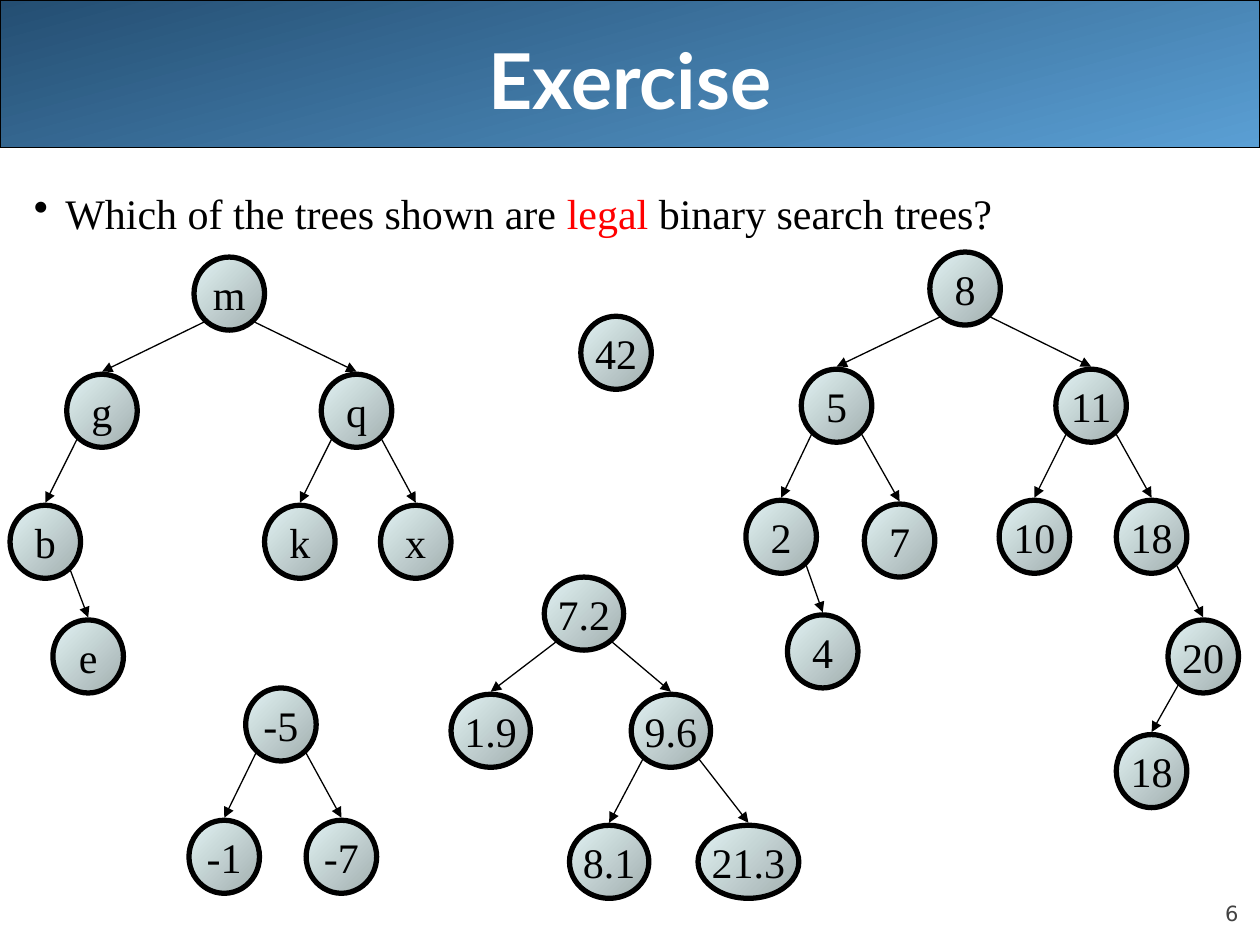
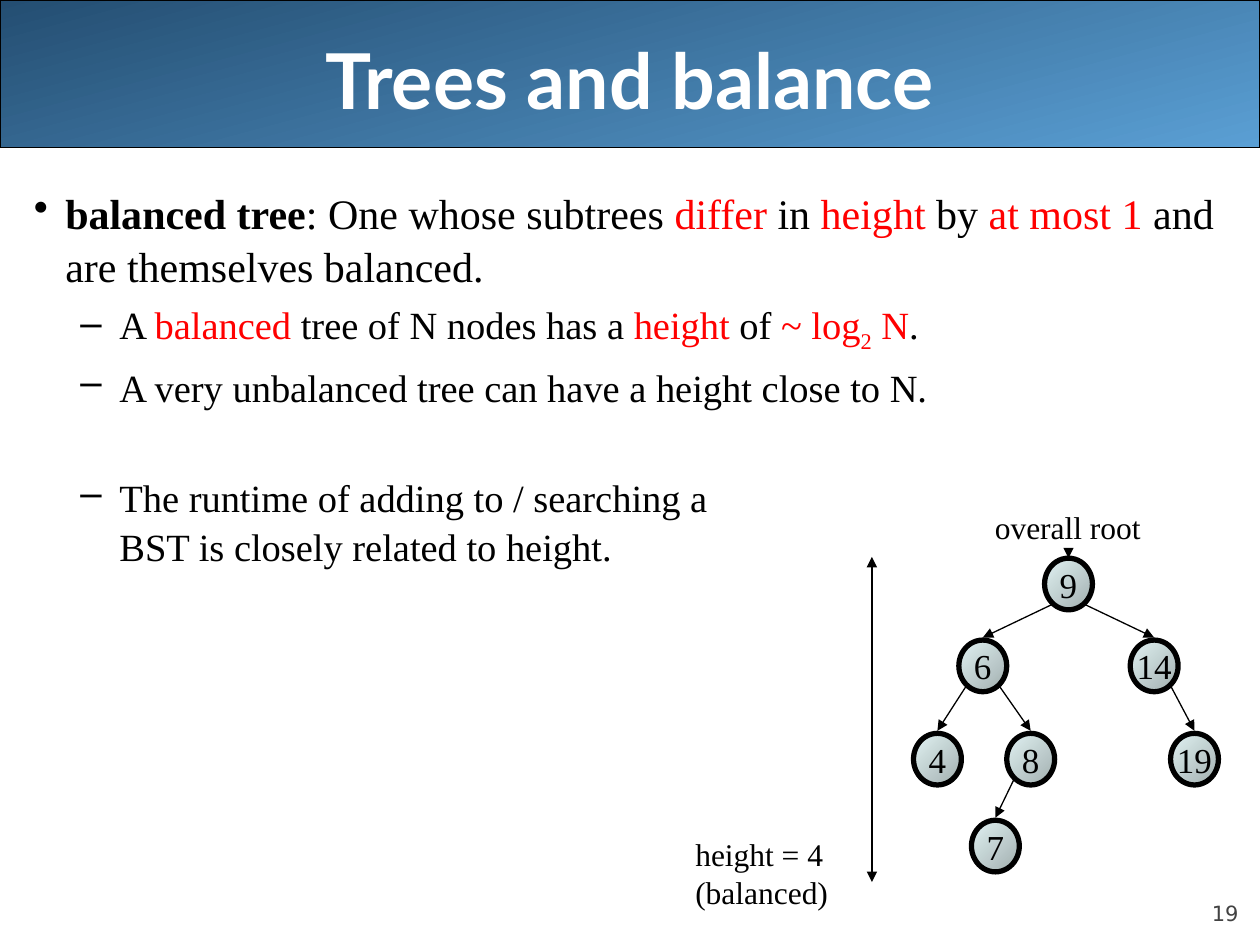
from lxml.etree import SubElement
from pptx import Presentation
from pptx.dml.color import RGBColor
from pptx.enum.shapes import MSO_CONNECTOR, MSO_SHAPE
from pptx.enum.text import MSO_ANCHOR, PP_ALIGN
from pptx.oxml.ns import qn
from pptx.util import Inches, Pt

COLORS = {
    "ink": "000000", "key": "FF0000", "title": "FFFFFF", "number": "424242",
    "band_dark": "244E72", "band_light": "5A9FD4",
    "node_light": "E1F2F3", "node_dark": "A2AFAF",
}
SERIF = "Times New Roman"
# For each level: bullet, text size, left margin, hanging indent
LEVELS = [("•", 24, 0.25, -0.25), ("–", 22, 0.68, -0.31)]
WIDE_NODES = {3: 0.63, 4: 0.8}  # node width by label length
ARROW_GAP = 0.02
DIAGONAL = 0.5 ** 0.5


def rgb(name):
    return RGBColor.from_string(COLORS[name])


class Lecture:
    def __init__(self):
        self.deck = Presentation()
        self.deck.slide_width, self.deck.slide_height = Inches(10), Inches(7.5)
        self.page = None

    def start_page(self, title, number):
        self.page = self.deck.slides.add_slide(self.deck.slide_layouts[6])
        self.shape(MSO_SHAPE.RECTANGLE, (0, 0, 10, 1.17), ("band_dark", "band_light"), 75, 0.75)
        frame = self.text((9, 6.95, 0.83, 0.4), [str(number)], 12, "DejaVu Sans", "number",
                          PP_ALIGN.RIGHT, MSO_ANCHOR.BOTTOM)
        frame.margin_left = frame.margin_right = frame.margin_top = frame.margin_bottom = 0
        frame = self.text((0.5, 0, 9, 1.25), [title], 44, "Lato", "title",
                          PP_ALIGN.CENTER, MSO_ANCHOR.MIDDLE)
        frame.paragraphs[0].font.bold = True

    def shape(self, kind, place, gradient, angle, line_width):
        shape = self.page.shapes.add_shape(kind, *map(Inches, place))
        shape.shadow.inherit = False
        shape.fill.gradient()
        shape.fill.gradient_angle = 360 - angle
        for stop, name in zip(shape.fill.gradient_stops, gradient):
            stop.color.rgb = rgb(name)
        shape.line.color.rgb = rgb("ink")
        shape.line.width = Pt(line_width)
        return shape

    def style(self, para, size, font=SERIF, color="ink", align=PP_ALIGN.LEFT):
        para.alignment = align
        para.font.size, para.font.name = Pt(size), font
        para.font.color.rgb = rgb(color)

    def text(self, place, lines, size, font=SERIF, color="ink", align=PP_ALIGN.LEFT,
             anchor=MSO_ANCHOR.TOP, wrap=True):
        box = self.page.shapes.add_textbox(*map(Inches, place))
        frame = box.text_frame
        frame.word_wrap, frame.vertical_anchor = wrap, anchor
        frame.text = "\n".join(lines)
        for para in frame.paragraphs:
            self.style(para, size, font, color, align)
        return frame

    def body(self, items):
        """Each item is a level, the space before it, and (text, style) spans."""
        frame = self.text((0.17, 1.42, 9.83, 5.67), [""], 24)
        for index, (level, space, spans) in enumerate(items):
            para = frame.add_paragraph() if index else frame.paragraphs[0]
            bullet, size, margin, indent = LEVELS[level]
            self.style(para, size)
            para.level, para.space_before, para.line_spacing = level, Pt(space), 1.05
            properties = para._p.get_or_add_pPr()
            properties.set("marL", str(Inches(margin)))
            properties.set("indent", str(Inches(indent)))
            mark = properties.makeelement(qn("a:buChar"), {"char": bullet})
            properties.insert_element_before(mark, "a:tabLst", "a:defRPr", "a:extLst")
            for words, look in spans:
                self.span(para, words, look)

    def span(self, para, words, look):
        for index, line in enumerate(words.split("\n")):
            if index:
                para.add_line_break()
            span = para.add_run()
            span.text = line
            if look == "bold":
                span.font.bold = True
            if look in ("key", "subscript"):
                span.font.color.rgb = rgb("key")
            if look == "subscript":
                span._r.get_or_add_rPr().set("baseline", "-25000")

    def arrow(self, start, end, both_ends=False):
        line = self.page.shapes.add_connector(MSO_CONNECTOR.STRAIGHT, *map(Inches, start + end))
        line.line.color.rgb = rgb("ink")
        line.line.width = Pt(0.75)
        outline = line.line._get_or_add_ln()
        for tag in ("a:headEnd", "a:tailEnd")[0 if both_ends else 1:]:
            SubElement(outline, qn(tag), type="triangle")
        SubElement(line._element.spPr, qn("a:effectLst"))

    def tree(self, node, width=0.56, height=0.58, size=24):
        """Draw a (label, left, top, *children) node and all below it."""
        label, left, top, *children = node
        node_width = WIDE_NODES.get(len(label), width)
        center = left + node_width / 2
        for child in children:
            child_center = child[1] + WIDE_NODES.get(len(child[0]), width) / 2
            side = 1 if child_center > center else -1
            start = (center + side * DIAGONAL * node_width / 2,
                     top + height / 2 * (1 + DIAGONAL) + ARROW_GAP)
            self.arrow(start, (child_center, child[2] - ARROW_GAP))
            self.tree(child, width, height, size)
        shape = self.shape(MSO_SHAPE.OVAL, (left, top, node_width, height),
                           ("node_light", "node_dark"), 45, 3)
        frame = shape.text_frame
        frame.word_wrap, frame.vertical_anchor = False, MSO_ANCHOR.MIDDLE
        frame.text = label
        self.style(frame.paragraphs[0], size, align=PP_ALIGN.CENTER)


def exercise(lecture):
    lecture.start_page("Exercise", 6)
    lecture.body([(0, 4.8, [("Which of the trees shown are ", ""), ("legal", "key"),
                            (" binary search trees?", "")])])
    letters = ("m", 1.54, 2.04,
               ("g", 0.53, 2.97, ("b", 0.08, 4.01, ("e", 0.42, 4.92))),
               ("q", 2.55, 2.97, ("k", 2.1, 4.01), ("x", 3.02, 4.01)))
    integers = ("8", 7.38, 2,
                ("5", 6.36, 2.93,
                 ("2", 5.92, 3.97, ("4", 6.25, 4.88)),
                 ("7", 6.86, 4)),
                ("11", 8.38, 2.93,
                 ("10", 7.93, 3.97),
                 ("18", 8.86, 3.97, ("20", 9.27, 4.92, ("18", 8.86, 5.83)))))
    single = ("42", 4.61, 2.51)
    negatives = ("-5", 1.95, 5.46, ("-1", 1.5, 6.51), ("-7", 2.43, 6.51))
    decimals = ("7.2", 4.32, 4.58,
                ("1.9", 3.58, 5.51),
                ("9.6", 5.01, 5.51, ("8.1", 4.52, 6.55), ("21.3", 5.54, 6.55)))
    for root in (letters, integers, single, negatives, decimals):
        lecture.tree(root)


def balance(lecture):
    lecture.start_page("Trees and balance", 19)
    lecture.body([
        (0, 4.8, [("balanced tree", "bold"), (": One whose subtrees ", ""), ("differ", "key"),
                  (" in ", ""), ("height", "key"), (" by ", ""), ("at most 1 ", "key"),
                  ("and are themselves balanced.", "")]),
        (1, 4.4, [("A ", ""), ("balanced", "key"), (" tree of N nodes has a ", ""),
                  ("height", "key"), (" of ", ""), ("~ log", "key"), ("2", "subscript"),
                  (" N", "key"), (".", "")]),
        (1, 4.4, [("A very unbalanced tree can have a height close to N.", "")]),
        (1, 35.5, [("The runtime of adding to / searching a\n"
                    "BST is closely related to height.", "")]),
    ])
    root = ("9", 8.29, 4.43,
            ("6", 7.61, 5.08,
             ("4", 7.25, 5.82),
             ("8", 7.99, 5.82, ("7", 7.71, 6.51))),
            ("14", 8.97, 5.08, ("19", 9.29, 5.82)))
    lecture.tree(root, 0.38, 0.41, 20)
    lecture.text((7.79, 3.98, 1.37, 0.4), ["overall root"], 18, align=PP_ALIGN.CENTER, wrap=False)
    lecture.arrow((8.48, 4.38), (8.48, 4.43))
    lecture.arrow((6.92, 4.42), (6.92, 7), both_ends=True)
    lecture.text((5.42, 6.58, 1.27, 0.71), ["height = 4", "(balanced)"], 18, wrap=False)


def main():
    lecture = Lecture()
    exercise(lecture)
    balance(lecture)
    lecture.deck.save("out.pptx")


if __name__ == "__main__":
    main()
